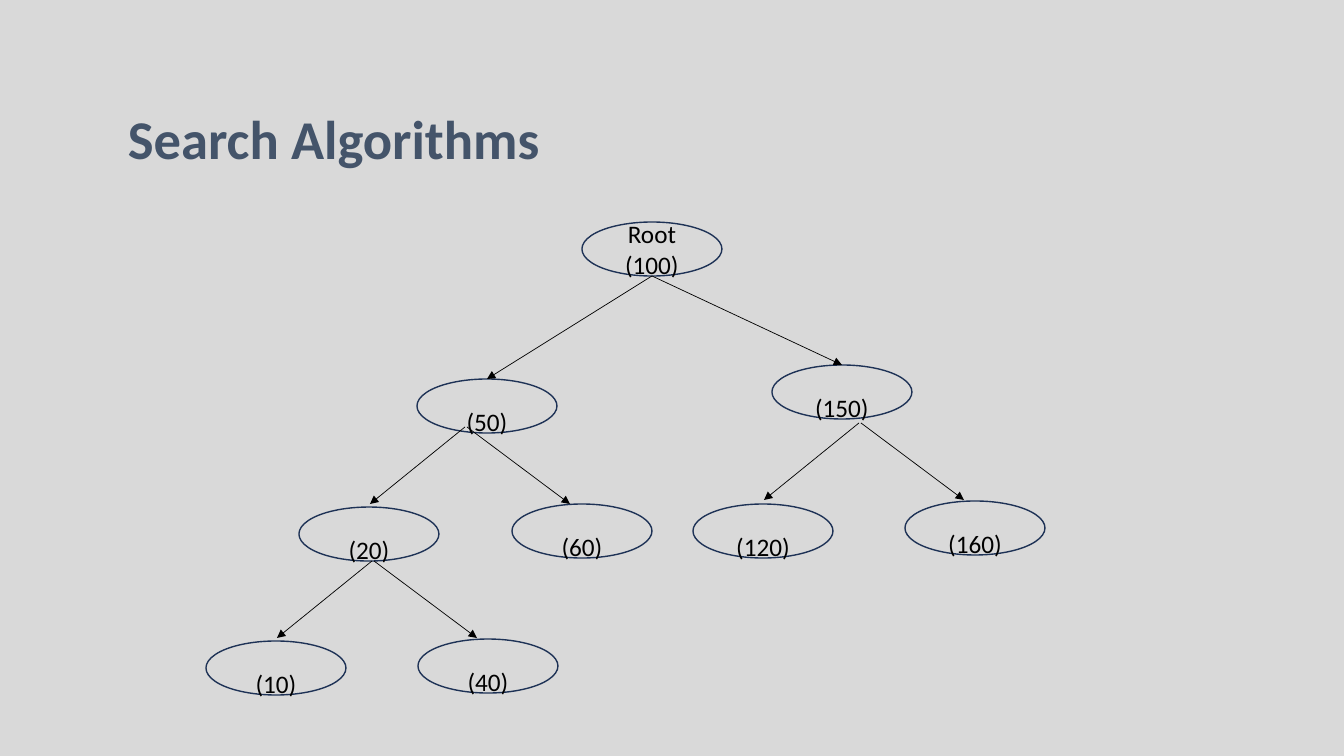
from lxml import etree
from pptx import Presentation, util as u
from pptx.dml.color import RGBColor
from pptx.enum import shapes, text
from pptx.oxml import parse_xml
from pptx.oxml.ns import nsdecls, qn

theme = dict(font="Calibri", back="D9D9D9", title="44546A", ring="1E3256",
             ink="000000", head=39, body=18)
scale = 9144000 / 1008


def px(*vals):
    return [u.Emu(round(val * scale)) for val in vals]


def write(para, words, size, tint, bold=False):
    run = para.add_run()
    run.text = words
    font = run.font
    font.name, font.size, font.bold = theme["font"], u.Pt(size), bold
    font.color.rgb = RGBColor.from_string(theme[tint])
    return run


deck = Presentation()
deck.slide_width, deck.slide_height = px(1344, 756)
slide = deck.slides.add_slide(deck.slide_layouts[6])
slide.background.fill.solid()
slide.background.fill.fore_color.rgb = RGBColor.from_string(theme["back"])

title = slide.shapes.add_textbox(*px(118, 84, 1141, 107)).text_frame
title.word_wrap = True
title.vertical_anchor = text.MSO_ANCHOR.MIDDLE
run = write(title.paragraphs[0], "Search Algorithms", theme["head"], "title", True)
props = run.font._element
props.insert(0, parse_xml(
    f'<a:ln {nsdecls("a")} w="9525"><a:solidFill><a:srgbClr val="FFFFFF">'
    '<a:alpha val="10000"/></a:srgbClr></a:solidFill></a:ln>'))
props.find(qn("a:solidFill")).addnext(parse_xml(
    f'<a:effectLst {nsdecls("a")}><a:outerShdw blurRad="38100" dist="25400" dir="2700000">'
    '<a:srgbClr val="000000"><a:alpha val="50000"/></a:srgbClr></a:outerShdw></a:effectLst>'))

nodes = [
    (582, 222, ["Root", "(100)"]),
    (417, 379, ["(50)"]),
    (772, 365, ["(150)"]),
    (299, 507, ["(20)"]),
    (512, 504, ["(60)"]),
    (693, 504, ["(120)"]),
    (905, 501, ["(160)"]),
    (206, 641, ["(10)"]),
    (418, 639, ["(40)"]),
]
for left, top, lines in nodes:
    node = slide.shapes.add_shape(shapes.MSO_SHAPE.OVAL, *px(left, top, 140, 54))
    node.shadow.inherit = False
    node.fill.background()
    node.line.color.rgb = RGBColor.from_string(theme["ring"])
    node.line.width = u.Pt(1)
    frame = node.text_frame
    frame.word_wrap = True
    frame.vertical_anchor = text.MSO_ANCHOR.MIDDLE
    if len(lines) == 1:
        frame.vertical_anchor = text.MSO_ANCHOR.TOP
        frame.margin_top, frame.margin_bottom = px(19, 0)
    for row, words in enumerate(lines):
        para = frame.add_paragraph() if row else frame.paragraphs[0]
        para.alignment = text.PP_ALIGN.CENTER
        write(para, words, theme["body"], "ink")

links = [(652, 276, 487, 379), (652, 276, 842, 365)]
for x, y in [(465, 427), (859, 423), (372, 561)]:
    links += [(x, y, x - 95, y + 77), (x + 2, y, x + 105, y + 77)]
for ends in links:
    link = slide.shapes.add_connector(shapes.MSO_CONNECTOR.STRAIGHT, *px(*ends))
    link.line.color.rgb = RGBColor.from_string(theme["ink"])
    link.line.width = u.Pt(0.5)
    etree.SubElement(link.line._get_or_add_ln(), qn("a:tailEnd"), type="triangle")
    etree.SubElement(link._element.spPr, qn("a:effectLst"))

deck.save("out.pptx")
